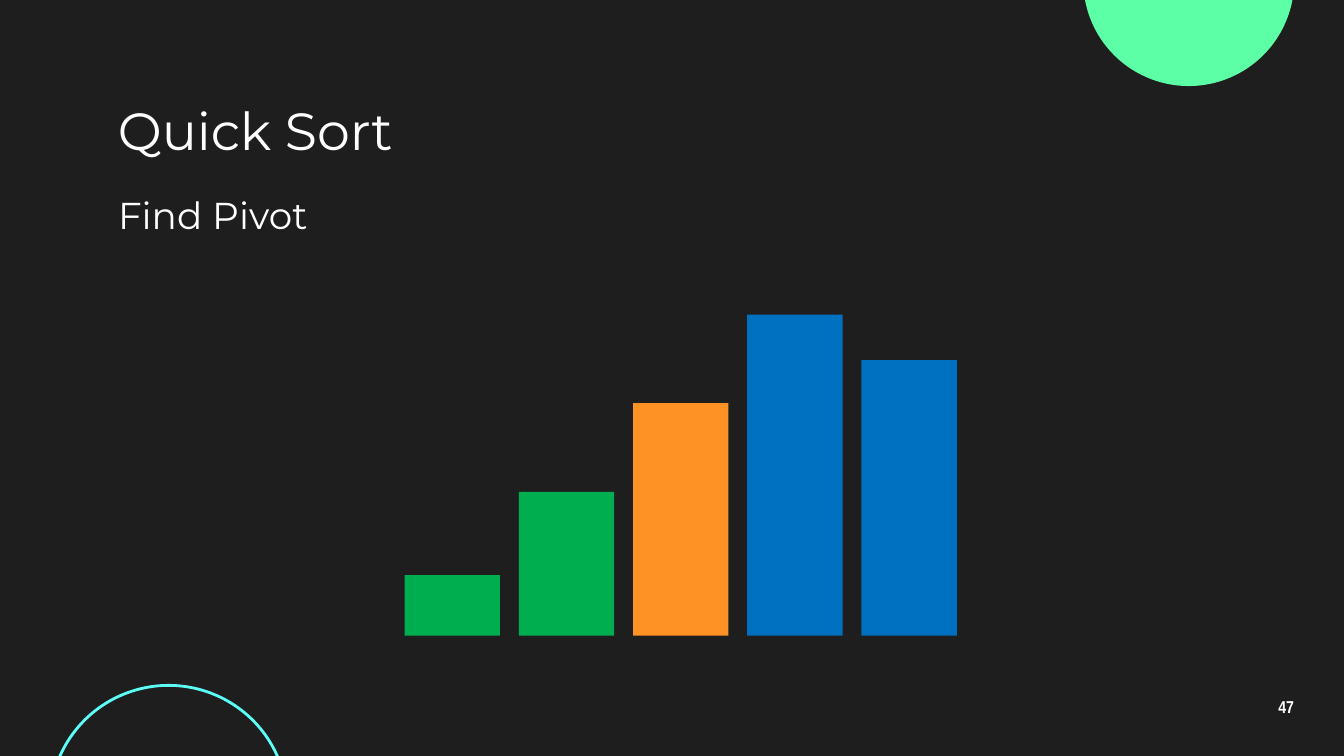
import pptx
import pptx.dml.color
import pptx.enum.shapes
import pptx.enum.text
import pptx.util
from pptx.util import Inches

COLORS = {
    "background": "1E1E1E",
    "text": "FFFFFF",
    "mint": "5CFFA6",
    "cyan": "5CFFF8",
    "smaller": "00AE4F",
    "pivot": "FF9225",
    "larger": "0070C0",
}
BARS = [
    (0.45, "smaller"),
    (1.07, "smaller"),
    (1.73, "pivot"),
    (2.39, "larger"),
    (2.05, "larger"),
]
BAR_LEFT, BAR_BASE, BAR_WIDTH, BAR_STEP = 3.01, 4.73, 0.71, 0.85
SHAPES = pptx.enum.shapes.MSO_SHAPE
ANCHORS = pptx.enum.text.MSO_ANCHOR
ALIGNMENTS = pptx.enum.text.PP_ALIGN


def color(name):
    return pptx.dml.color.RGBColor.from_string(COLORS[name])


def add_figure(slide, kind, left, top, width, height, fill=None, line=None):
    """Add a preset shape with an optional solid fill and outline."""
    shape = slide.shapes.add_shape(
        kind, Inches(left), Inches(top), Inches(width), Inches(height))
    shape.shadow.inherit = False
    if fill:
        shape.fill.solid()
        shape.fill.fore_color.rgb = color(fill)
    else:
        shape.fill.background()
    if line:
        shape.line.color.rgb = color(line)
        shape.line.width = pptx.util.Pt(1.5)
    else:
        shape.line.fill.background()


def add_text(slide, text, left, top, width, height, size, font="Montserrat",
             bold=False, anchor=ANCHORS.MIDDLE, alignment=ALIGNMENTS.LEFT,
             line_spacing=1.0):
    box = slide.shapes.add_textbox(
        Inches(left), Inches(top), Inches(width), Inches(height))
    frame = box.text_frame
    frame.word_wrap = True
    frame.vertical_anchor = anchor
    frame.margin_left = frame.margin_right = Inches(0.1)
    frame.margin_top = frame.margin_bottom = Inches(0.1)
    paragraph = frame.paragraphs[0]
    paragraph.text = text
    paragraph.alignment = alignment
    paragraph.line_spacing = line_spacing
    paragraph.font.name = font
    paragraph.font.size = pptx.util.Pt(size)
    paragraph.font.bold = bold
    paragraph.font.color.rgb = color("text")


def add_bars(slide):
    for index, (height, fill) in enumerate(BARS):
        add_figure(slide, SHAPES.RECTANGLE, BAR_LEFT + index * BAR_STEP,
                   BAR_BASE - height, BAR_WIDTH, height, fill=fill)


def main():
    presentation = pptx.Presentation()
    presentation.slide_width = Inches(10)
    presentation.slide_height = Inches(10) * 9 // 16
    slide = presentation.slides.add_slide(presentation.slide_layouts[6])
    slide.background.fill.solid()
    slide.background.fill.fore_color.rgb = color("background")

    add_figure(slide, SHAPES.OVAL, 8.06, -0.93, 1.57, 1.57, fill="mint")
    add_figure(slide, SHAPES.OVAL, 0.37, 5.1, 1.77, 1.77, line="cyan")
    add_text(slide, "47", 9.27, 5.1, 0.6, 0.34, 9.2, font="Arial Narrow",
             bold=True, alignment=ALIGNMENTS.CENTER, line_spacing=0.9)
    add_text(slide, "Quick Sort", 0.78, 0.71, 8.44, 0.51, 28)
    add_bars(slide)
    add_text(slide, "Find Pivot", 0.78, 1.33, 6.49, 0.58, 20,
             anchor=ANCHORS.TOP)
    presentation.save("out.pptx")


if __name__ == "__main__":
    main()
